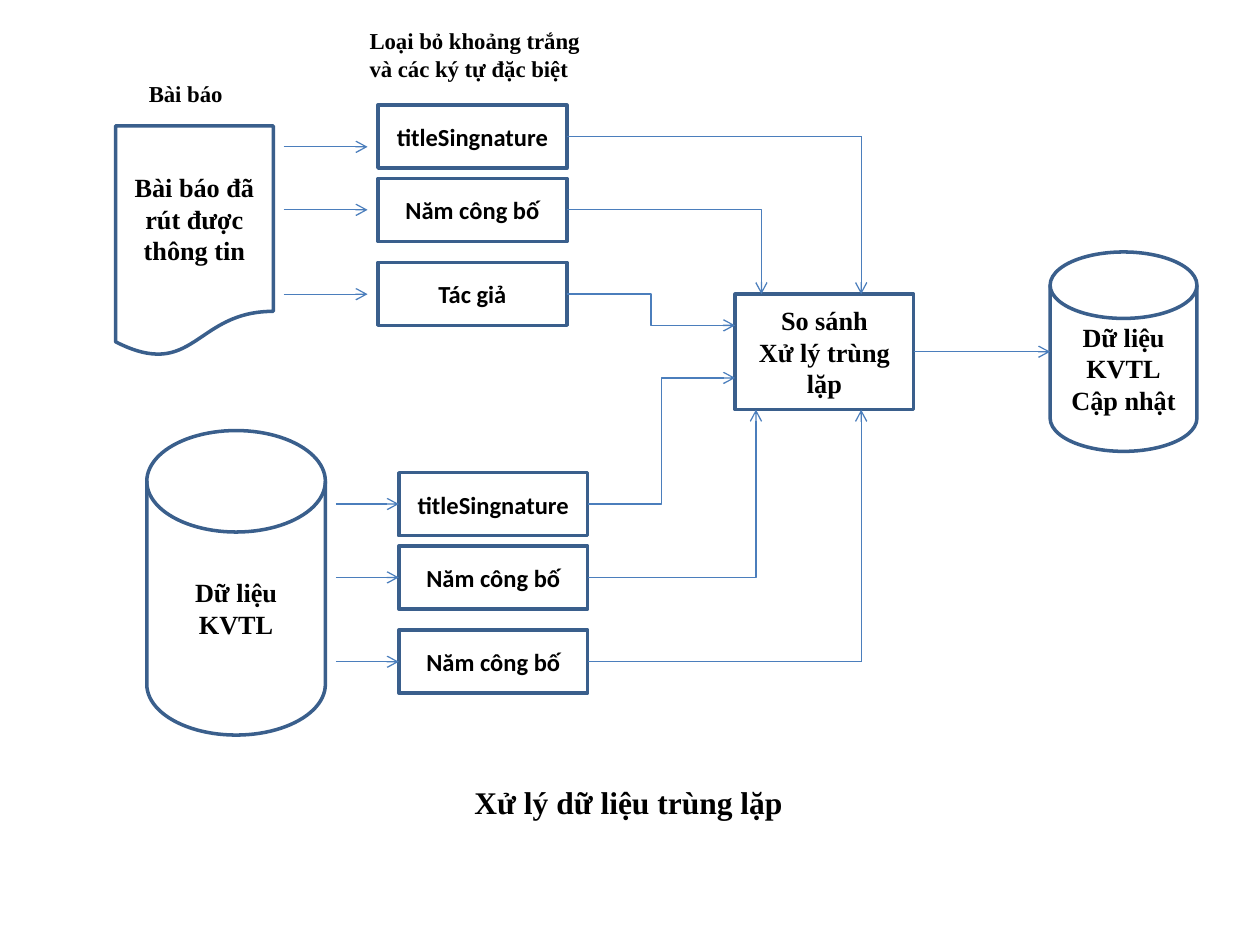
from lxml import etree
from pptx import Presentation
from pptx import util as u
from pptx.dml import color
from pptx.enum import shapes, text
from pptx.oxml import ns

Cm = u.Cm
rgb = color.RGBColor.from_string
SERIF, SANS = "Times New Roman", "Calibri"
SHAPE, LINK = shapes.MSO_SHAPE, shapes.MSO_CONNECTOR


def write(sp, content, size=15, font=SERIF, align="CENTER", anchor="MIDDLE", wrap=True):
    tf = sp.text_frame
    tf.text = content
    tf.word_wrap = wrap
    tf.auto_size = text.MSO_AUTO_SIZE.NONE
    tf.vertical_anchor = text.MSO_ANCHOR[anchor]
    for p in tf.paragraphs:
        p.alignment = text.PP_ALIGN[align]
        for r in p.runs:
            r.font.name, r.font.size, r.font.bold = font, u.Pt(size), True
            r.font.color.rgb = rgb("000000")


def connect(x1, y1, x2, y2, kind="line", arrow=True):
    route = LINK.STRAIGHT if kind == "line" else LINK.ELBOW
    c = s.shapes.add_connector(route, Cm(x1), Cm(y1), Cm(x2), Cm(y2))
    c.line.color.rgb = rgb("4B7EBC")
    c.line.width = u.Pt(0.75)
    spPr = c._element.spPr
    spPr.find(ns.qn("a:prstGeom")).set("prst", kind)
    if arrow:
        etree.SubElement(spPr.find(ns.qn("a:ln")), ns.qn("a:tailEnd"), type="arrow")
    etree.SubElement(spPr, ns.qn("a:effectLst"))


prs = Presentation()
prs.slide_width, prs.slide_height = Cm(25.4), Cm(19.05)
s = prs.slides.add_slide(prs.slide_layouts[5])

title = s.shapes.title
title.left, title.top, title.width, title.height = Cm(9.31), Cm(15.66), Cm(6.94), Cm(1.02)
write(title, "Xử lý dữ liệu trùng lặp", size=18, align="LEFT", anchor="TOP", wrap=False)

captions = [
    ("Bài báo", 2.75, 1.48, 2.01, 0.81, False),
    ("Loại bỏ khoảng trắng\nvà các ký tự đặc biệt", 7.2, 0.42, 5.5, 1.93, True),
]
for content, x, y, w, h, wrap in captions:
    sp = s.shapes.add_textbox(Cm(x), Cm(y), Cm(w), Cm(h))
    write(sp, content, size=13, align="LEFT", anchor="TOP", wrap=wrap)

nodes = [
    (SHAPE.FLOWCHART_DOCUMENT, "Bài báo đã rút được thông tin", 2.33, 2.54, 3.18, 4.66, 15, SERIF),
    (SHAPE.FLOWCHART_MAGNETIC_DISK, "Dữ liệu\nKVTL", 2.96, 8.68, 3.6, 6.14, 15, SERIF),
    (SHAPE.RECTANGLE, "So sánh\nXử lý trùng lặp", 14.82, 5.93, 3.6, 2.33, 15, SERIF),
    (SHAPE.FLOWCHART_MAGNETIC_DISK, "Dữ liệu\nKVTL\nCập nhật", 21.17, 5.08, 2.96, 4.02, 15, SERIF),
]
rows = [2.12, 3.6, 5.29]
fields = [
    (7.62, 0, ["titleSingnature", "Năm công bố", "Tác giả"]),
    (8.04, 7.41, ["titleSingnature", "Năm công bố", "Năm công bố"]),
]
for x, shift, names in fields:
    for name, y in zip(names, rows):
        nodes.append((SHAPE.RECTANGLE, name, x, y + shift, 3.81, 1.27, 14, SANS))

for shape, content, x, y, w, h, size, font in nodes:
    sp = s.shapes.add_shape(shape, Cm(x), Cm(y), Cm(w), Cm(h))
    sp.shadow.inherit = False
    sp.fill.solid()
    sp.fill.fore_color.rgb = rgb("FFFFFF")
    sp.line.color.rgb = rgb("3A5F8C")
    sp.line.width = u.Pt(2)
    write(sp, content, size=size, font=font)

for y in (2.96, 4.23, 5.93):
    connect(5.72, y, 7.41, y)
for y in (10.16, 11.64, 13.34):
    connect(6.77, y, 8.04, y)
connect(18.42, 7.09, 21.17, 7.09)

connect(11.43, 5.93, 14.82, 6.56, "bentConnector3")
connect(11.85, 10.16, 14.82, 7.62, "bentConnector3")
connect(11.43, 4.23, 15.35, 5.93, "bentConnector2")
connect(11.85, 11.64, 15.24, 8.26, "bentConnector2")
for x, y, end in ((11.43, 2.75, 5.93), (11.85, 13.34, 8.26)):
    connect(x, y, 17.36, y, arrow=False)
    connect(17.36, y, 17.36, end)

prs.save("out.pptx")
